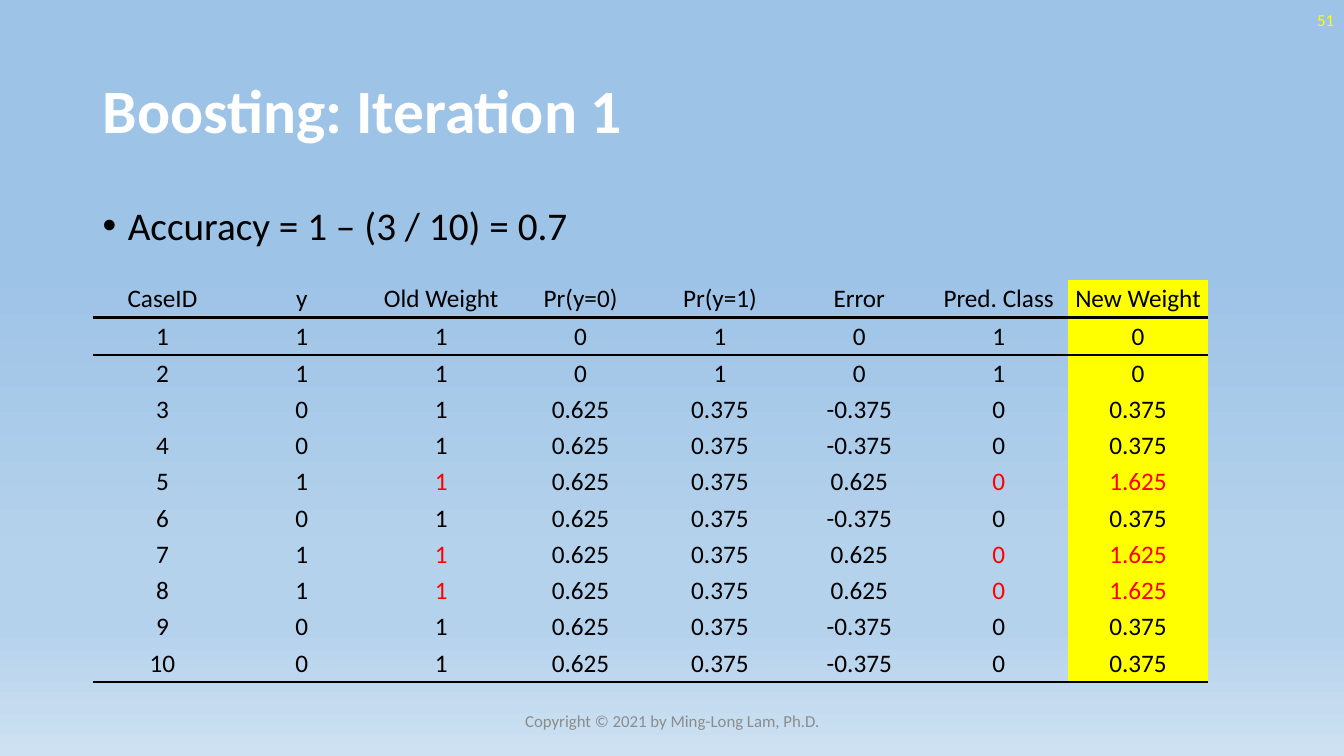
from dataclasses import dataclass

from lxml import etree
from pptx import Presentation
from pptx.dml.color import RGBColor
from pptx.enum.text import MSO_ANCHOR, PP_ALIGN
from pptx.oxml.ns import qn
from pptx.slide import Slide
from pptx.table import _Cell
from pptx.text.text import TextFrame
from pptx.util import Inches, Pt

BLACK = RGBColor(0x00, 0x00, 0x00)
WHITE = RGBColor(0xFF, 0xFF, 0xFF)
YELLOW = RGBColor(0xFF, 0xFF, 0x00)
RED = RGBColor(0xFF, 0x00, 0x00)
GRAY = RGBColor(0x8C, 0x8C, 0x8C)
SKY = RGBColor(0x9D, 0xC3, 0xE6)
PALE_SKY = RGBColor(0xB5, 0xD2, 0xEC)
MIST = RGBColor(0xCE, 0xE1, 0xF2)

FONT = "Calibri"
NO_GRID_STYLE = "{2D5ABB26-0587-4C30-8999-92F81FD0307C}"
GRADIENT = [(35, SKY), (74, PALE_SKY), (83, PALE_SKY), (100, MIST)]
HEADERS = ["CaseID", "y", "Old Weight", "Pr(y=0)", "Pr(y=1)", "Error",
           "Pred. Class", "New Weight"]
OLD_WEIGHT, PRED_CLASS, NEW_WEIGHT = 2, 6, 7


@dataclass
class Case:
    id: int
    y: int
    prob: float
    weight: int = 1

    @property
    def predicted(self) -> int:
        return int(self.prob >= 0.5)

    @property
    def missed(self) -> bool:
        return self.y != self.predicted

    def values(self) -> list[str]:
        error = self.y - self.prob
        new_weight = abs(error) + self.missed
        return [f"{v:g}" for v in (self.id, self.y, self.weight, 1 - self.prob,
                                   self.prob, error, self.predicted, new_weight)]


@dataclass
class Label:
    text: str
    left: float
    top: float
    width: float
    height: float
    size: int
    color: RGBColor
    bold: bool = False
    align: PP_ALIGN = PP_ALIGN.LEFT
    anchor: MSO_ANCHOR = MSO_ANCHOR.MIDDLE
    spacing: float = 1.0
    bullet: str = ""


CASES = [Case(i, y, 1 if i <= 2 else 0.375)
         for i, y in enumerate([1, 1, 0, 0, 1, 0, 1, 1, 0, 0], start=1)]
LABELS = [
    Label("Accuracy = 1 – (3 / 10) = 0.7", 0.92, 2, 11.5, 0.6, 28, BLACK,
          anchor=MSO_ANCHOR.TOP, spacing=0.9, bullet="•"),
    Label("Boosting: Iteration 1", 0.92, 0.4, 11.5, 1.45, 44, WHITE,
          bold=True, spacing=0.9),
    Label("51", 10.33, 0, 3, 0.4, 12, YELLOW, align=PP_ALIGN.RIGHT),
    Label("Copyright © 2021 by Ming-Long Lam, Ph.D.", 4.42, 6.95, 4.5, 0.4,
          12, GRAY, align=PP_ALIGN.CENTER),
]


def write(tf: TextFrame, text: str, *, size: int, color: RGBColor,
          bold: bool = False, align: PP_ALIGN = PP_ALIGN.LEFT,
          spacing: float = 1.0, bullet: str = "") -> None:
    p = tf.paragraphs[0]
    p.alignment = align
    p.line_spacing = spacing
    if bullet:
        pPr = p._p.get_or_add_pPr()
        pPr.set("marL", str(Inches(0.25)))
        pPr.set("indent", str(Inches(-0.25)))
        etree.SubElement(pPr, qn("a:buFont"), typeface="Arial")
        etree.SubElement(pPr, qn("a:buChar"), char=bullet)
    r = p.add_run()
    r.text = text
    r.font.name = FONT
    r.font.size = Pt(size)
    r.font.bold = bold
    r.font.color.rgb = color


def add_label(s: Slide, label: Label) -> None:
    sp = s.shapes.add_textbox(Inches(label.left), Inches(label.top),
                              Inches(label.width), Inches(label.height))
    tf = sp.text_frame
    tf.word_wrap = True
    tf.vertical_anchor = label.anchor
    write(tf, label.text, size=label.size, color=label.color, bold=label.bold,
          align=label.align, spacing=label.spacing, bullet=label.bullet)


def add_border(cell: _Cell, side: str) -> None:
    ln = etree.Element(qn(f"a:{side}"), w=str(Pt(2)))
    fill = etree.SubElement(ln, qn("a:solidFill"))
    etree.SubElement(fill, qn("a:srgbClr"), val=str(BLACK))
    cell._tc.get_or_add_tcPr().insert(0, ln)


def set_background(s: Slide) -> None:
    fill = s.background.fill
    fill.gradient()
    fill.gradient_angle = 270
    stops = s._element.find(".//" + qn("a:gsLst"))
    for stop in list(stops):
        stops.remove(stop)
    for position, color in GRADIENT:
        stop = etree.SubElement(stops, qn("a:gs"), pos=str(position * 1000))
        etree.SubElement(stop, qn("a:srgbClr"), val=str(color))


def fill_cell(cell: _Cell, text: str, color: RGBColor, highlighted: bool) -> None:
    cell.margin_left = cell.margin_right = cell.margin_top = Inches(0.01)
    cell.margin_bottom = 0
    cell.vertical_anchor = MSO_ANCHOR.MIDDLE
    write(cell.text_frame, text, size=18, color=color, align=PP_ALIGN.CENTER)
    if highlighted:
        cell.fill.solid()
        cell.fill.fore_color.rgb = YELLOW
    else:
        cell.fill.background()


def add_weights(s: Slide) -> None:
    rows = [HEADERS] + [case.values() for case in CASES]
    missed = [False] + [case.missed for case in CASES]
    last = len(rows) - 1
    frame = s.shapes.add_table(len(rows), len(HEADERS), Inches(0.92), Inches(2.78),
                               Inches(11.06), Inches(3.98))
    table = frame.table
    table.first_row = table.horz_banding = False
    table._tbl.tblPr.find(qn("a:tableStyleId")).text = NO_GRID_STYLE
    for column in table.columns:
        column.width = Inches(11.06 / len(HEADERS))
    for i, row in enumerate(rows):
        table.rows[i].height = Inches(0.37 if i in (0, 1, last) else 0.36)
        for j, value in enumerate(row):
            cell = table.cell(i, j)
            red = missed[i] and j in (OLD_WEIGHT, PRED_CLASS, NEW_WEIGHT)
            fill_cell(cell, value, RED if red else BLACK, j == NEW_WEIGHT)
            if i in (0, last):
                add_border(cell, "lnB")
            elif i == 1:
                add_border(cell, "lnT")


def main() -> None:
    prs = Presentation()
    prs.slide_width, prs.slide_height = Inches(13.33), Inches(7.5)
    s = prs.slides.add_slide(prs.slide_layouts[6])
    set_background(s)
    for label in LABELS:
        add_label(s, label)
    add_weights(s)
    prs.save("out.pptx")


if __name__ == "__main__":
    main()
